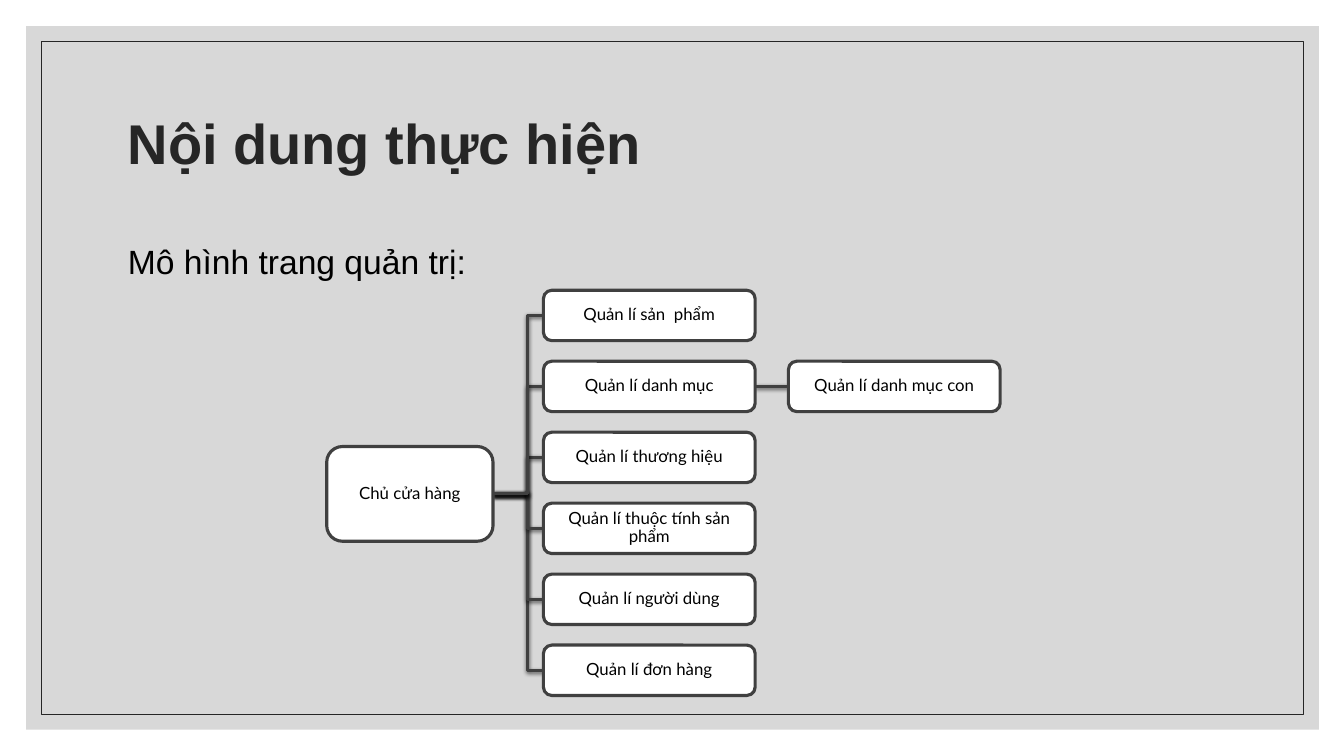
from typing import NamedTuple

from lxml.etree import SubElement
from pptx import Presentation
from pptx.dml.color import RGBColor
from pptx.enum.shapes import MSO_CONNECTOR as Connector, MSO_SHAPE as Shape
from pptx.enum.text import MSO_ANCHOR as Anchor, PP_ALIGN as Align
from pptx.oxml.ns import qn
from pptx.util import Inches, Pt

INK, EDGE, BLACK, WHITE = "262626", "404040", "000000", "FFFFFF"


class Box(NamedTuple):
    x: float
    y: float
    w: float
    h: float

    @property
    def right(self) -> float:
        return self.x + self.w

    @property
    def middle(self) -> float:
        return self.y + self.h / 2


class Style(NamedTuple):
    font: str
    size: float
    color: str
    bold: bool = False
    align: Align = Align.LEFT
    anchor: Anchor = Anchor.TOP
    spacing: float = 0.9
    inset: float = 0.05


TITLE = Style("Arial", 40, INK, bold=True, anchor=Anchor.MIDDLE)
BODY = Style("Arial", 24, BLACK, spacing=1.1)
NODE = Style("Lato", 12, BLACK, align=Align.CENTER, anchor=Anchor.MIDDLE, inset=0.04)


def rgb(color: str) -> RGBColor:
    return RGBColor.from_string(color)


def inches(*values: float) -> list:
    return [Inches(v) for v in values]


def write(sp, text: str, style: Style) -> None:
    tf = sp.text_frame
    tf.text = text
    tf.word_wrap = True
    tf.vertical_anchor = style.anchor
    tf.margin_top = tf.margin_bottom = Inches(style.inset)
    if style.align == Align.CENTER:
        tf.margin_left = tf.margin_right = Inches(style.inset)
    p = tf.paragraphs[0]
    p.alignment, p.line_spacing = style.align, style.spacing
    font = p.runs[0].font
    font.name, font.size, font.bold = style.font, Pt(style.size), style.bold
    font.color.rgb = rgb(style.color)


def add_text(slide, box: Box, text: str, style: Style) -> None:
    write(slide.shapes.add_textbox(*inches(*box)), text, style)


def set_line(sp, color: str, width: float) -> None:
    sp.line.color.rgb = rgb(color)
    sp.line.width = Pt(width)


def add_panel(slide, kind: Shape, box: Box):
    sp = slide.shapes.add_shape(kind, *inches(*box))
    sp.shadow.inherit = False
    return sp


def add_node(slide, box: Box, text: str) -> None:
    sp = add_panel(slide, Shape.ROUNDED_RECTANGLE, box)
    sp.fill.solid()
    sp.fill.fore_color.rgb = rgb(WHITE)
    set_line(sp, EDGE, 2.25)
    write(sp, text, NODE)


def add_link(slide, start: Box, end: Box) -> None:
    """Join two nodes, bending just before the far one."""
    x1, y1, x2, y2 = inches(start.right, start.middle, end.x, end.middle)
    if y1 == y2:
        sp = slide.shapes.add_connector(Connector.STRAIGHT, x1, y1, x2, y2)
    else:
        bend = x2 - Inches(0.16)
        builder = slide.shapes.build_freeform(x1, y1)
        builder.add_line_segments([(bend, y1), (bend, y2), (x2, y2)], close=False)
        sp = builder.convert_to_shape()
        sp.fill.background()
    set_line(sp, EDGE, 2.25)
    # Soft shadow falling straight down
    effects = SubElement(sp._element.spPr, qn("a:effectLst"))
    shadow = SubElement(effects, qn("a:outerShdw"), blurRad=str(Pt(3)),
                        dist=str(Pt(1)), dir="5400000", rotWithShape="0")
    tone = SubElement(shadow, qn("a:srgbClr"), val=BLACK)
    SubElement(tone, qn("a:alpha"), val="63000")


def main() -> None:
    prs = Presentation()
    prs.slide_width, prs.slide_height = inches(13.33, 7.5)
    slide = prs.slides.add_slide(prs.slide_layouts[6])

    # Translucent backdrop and thin frame
    backdrop = add_panel(slide, Shape.RECTANGLE, Box(0.26, 0.26, 12.82, 6.98))
    backdrop.fill.solid()
    backdrop.fill.fore_color.rgb = rgb("BFBFBF")
    tone = backdrop._element.spPr.find(".//" + qn("a:srgbClr"))
    SubElement(tone, qn("a:alpha"), val="60000")
    backdrop.line.fill.background()
    frame = add_panel(slide, Shape.RECTANGLE, Box(0.41, 0.41, 12.52, 6.68))
    frame.fill.background()
    set_line(frame, INK, 0.5)

    # Headings
    add_text(slide, Box(1.17, 0.7, 11, 1.5), "Nội dung thực hiện", TITLE)
    add_text(slide, Box(1.17, 2.3, 11, 4.21), "Mô hình trang quản trị:", BODY)

    # Tree: owner, six sections, one subsection
    sections = ["Quản lí sản  phẩm", "Quản lí danh mục", "Quản lí thương hiệu",
                "Quản lí thuộc tính sản phẩm", "Quản lí người dùng",
                "Quản lí đơn hàng"]
    top, bottom = 2.88, 6.4
    pitch = (bottom - top) / (len(sections) - 1)
    owner = Box(3.24, 4.43, 1.65, 0.94)
    boxes = [Box(5.39, top + i * pitch, 2.1, 0.5) for i in range(len(sections))]
    category = boxes[1]
    subcategory = category._replace(x=7.82)

    # Links lie behind the nodes
    for box in reversed(boxes):
        add_link(slide, owner, box)
    add_link(slide, category, subcategory)

    add_node(slide, owner, "Chủ cửa hàng")
    for box, text in zip(boxes, sections):
        add_node(slide, box, text)
    add_node(slide, subcategory, "Quản lí danh mục con")

    prs.save("out.pptx")


if __name__ == "__main__":
    main()
